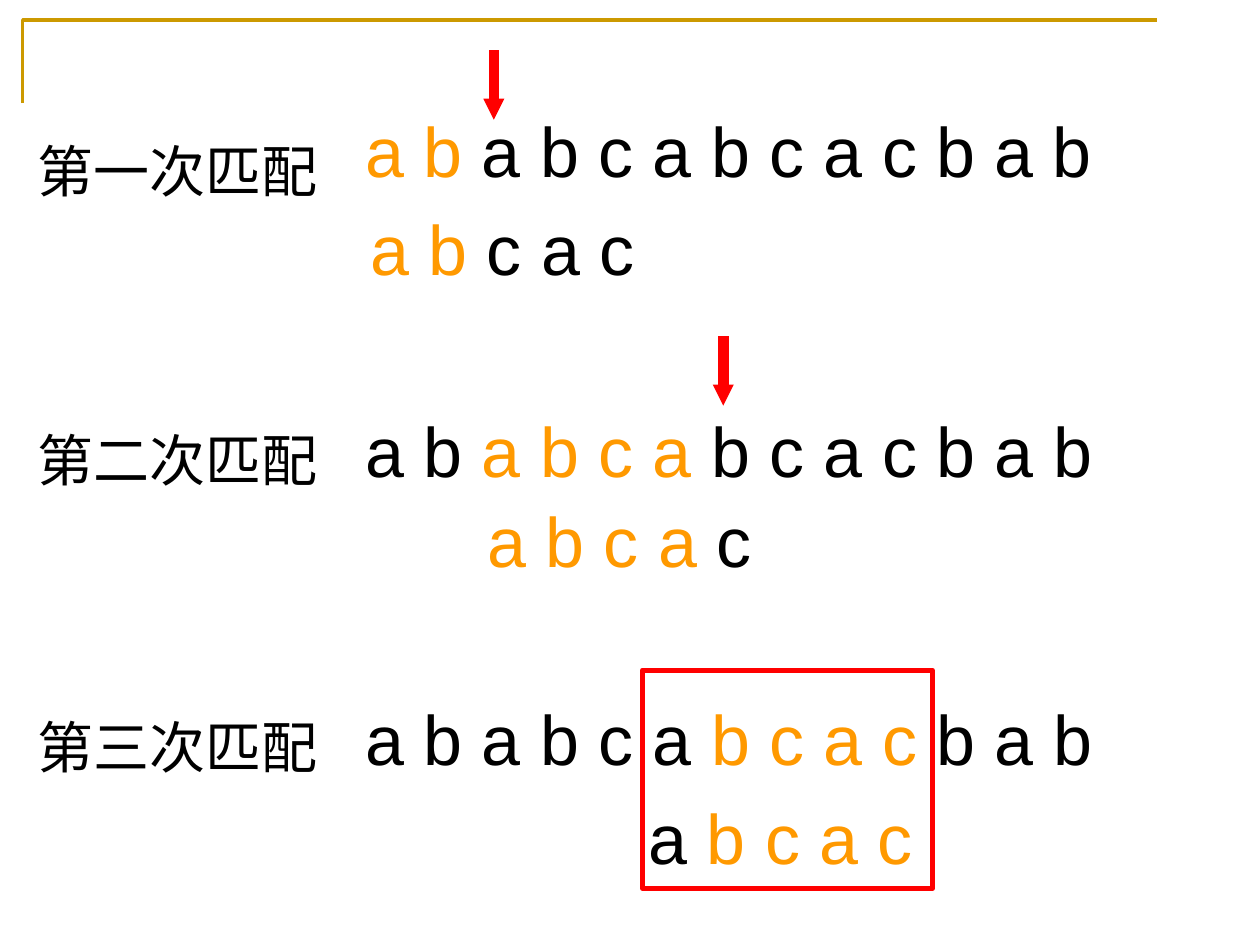
from dataclasses import dataclass

from lxml import etree
from pptx import Presentation
from pptx.dml.color import RGBColor as Rgb
from pptx.enum import shapes as sh, text as tx
from pptx.oxml import ns
from pptx.util import Pt


@dataclass(frozen=True)
class Theme:
    font: str = "Arial"
    ink: Rgb = Rgb(0, 0, 0)
    hit: Rgb = Rgb(0xFF, 0x99, 0x00)
    mark: Rgb = Rgb(0xFF, 0, 0)
    edge: Rgb = Rgb(0xCC, 0x99, 0x00)
    big: int = 40
    small: int = 32


@dataclass(frozen=True)
class Line:
    """A text line; pieces between bars alternate plain and matched."""
    left: float
    top: float
    wide: float
    words: str


@dataclass(frozen=True)
class Step:
    label: Line
    main: Line
    match: Line


T = Theme()
STEPS = [
    Step(Line(14.4, 71.3, 187.2, "第一次匹配"),
         Line(201.6, 54.7, 460, "|a b| a b c a b c a c b a b"),
         Line(204.5, 110.2, 209.5, "|a b| c a c")),
    Step(Line(14.4, 236.2, 187.2, "第二次匹配"),
         Line(201.6, 226.1, 477.4, "a b |a b c a| b c a c b a b"),
         Line(271.4, 277.2, 209.5, "|a b c a| c")),
    Step(Line(14.4, 400.3, 187.2, "第三次匹配"),
         Line(201.6, 390.2, 442, "a b a b c a| b c a c| b a b"),
         Line(363.6, 447.1, 209.5, "a| b c a c")),
]
ARROWS = [(282.2, 28.8), (413.3, 192.2)]


def write(page, line: Line, size: int) -> None:
    high = 55.4 if size == T.big else 45.4
    box = page.shapes.add_textbox(
        Pt(line.left), Pt(line.top), Pt(line.wide), Pt(high))
    frame = box.text_frame
    frame.word_wrap = True
    frame.auto_size = tx.MSO_AUTO_SIZE.NONE
    frame.margin_top, frame.margin_bottom = Pt(7), Pt(0)
    para = frame.paragraphs[0]
    para.font.name, para.font.size = T.font, Pt(size)
    for i, piece in enumerate(line.words.split("|")):
        if piece:
            run = para.add_run()
            run.text = piece
            run.font.color.rgb = T.hit if i % 2 else T.ink


def point(page, x: float, y: float) -> None:
    arrow = page.shapes.add_connector(
        sh.MSO_CONNECTOR.STRAIGHT, Pt(x), Pt(y), Pt(x), Pt(y + 39.6))
    arrow.line.color.rgb, arrow.line.width = T.mark, Pt(6)
    props = arrow._element.spPr
    etree.SubElement(props.find(ns.qn("a:ln")), ns.qn("a:tailEnd"),
                     type="triangle", w="sm", len="sm")
    etree.SubElement(props, ns.qn("a:effectLst"))


def outline(shape, color: Rgb, width: float) -> None:
    shape.shadow.inherit = False
    shape.fill.background()
    shape.line.color.rgb, shape.line.width = color, Pt(width)


def main() -> None:
    deck = Presentation()
    deck.slide_width, deck.slide_height = Pt(720), Pt(540)
    page = deck.slides.add_slide(deck.slide_layouts[6])

    # Corner rule
    rule = page.shapes.build_freeform(Pt(13), Pt(59))
    rule.add_line_segments(
        [(Pt(13), Pt(11.5)), (Pt(661), Pt(11.5))], close=False)
    outline(rule.convert_to_shape(), T.edge, 2)

    # Matching steps
    for step in STEPS:
        write(page, step.label, T.small)
        write(page, step.main, T.big)
        write(page, step.match, T.big)

    # Mismatch arrows
    for x, y in ARROWS:
        point(page, x, y)

    # Frame round the full match
    frame = page.shapes.add_shape(
        sh.MSO_SHAPE.RECTANGLE, Pt(367.2), Pt(383), Pt(165.6), Pt(124.6))
    outline(frame, T.mark, 3)

    deck.save("out.pptx")


if __name__ == "__main__":
    main()
